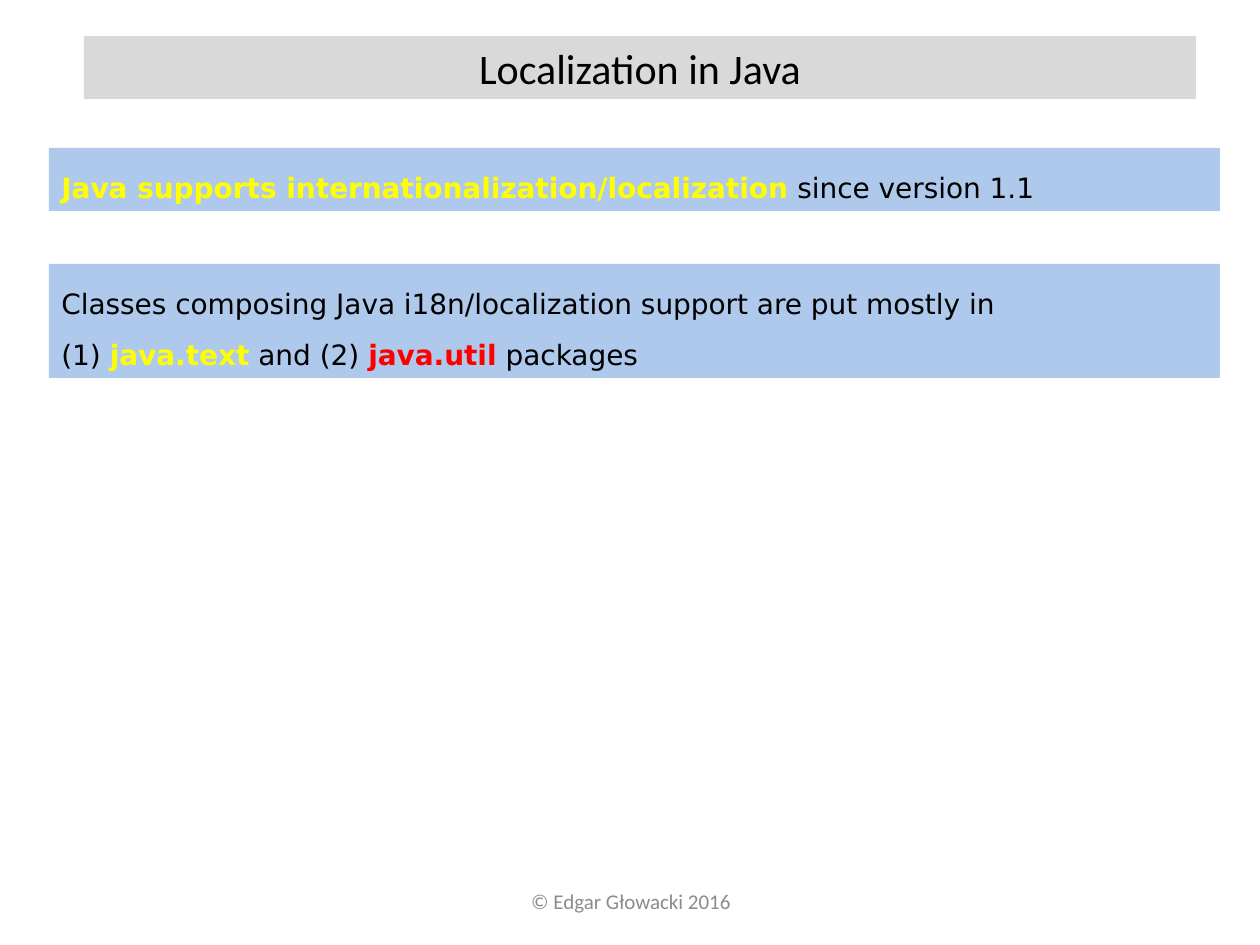
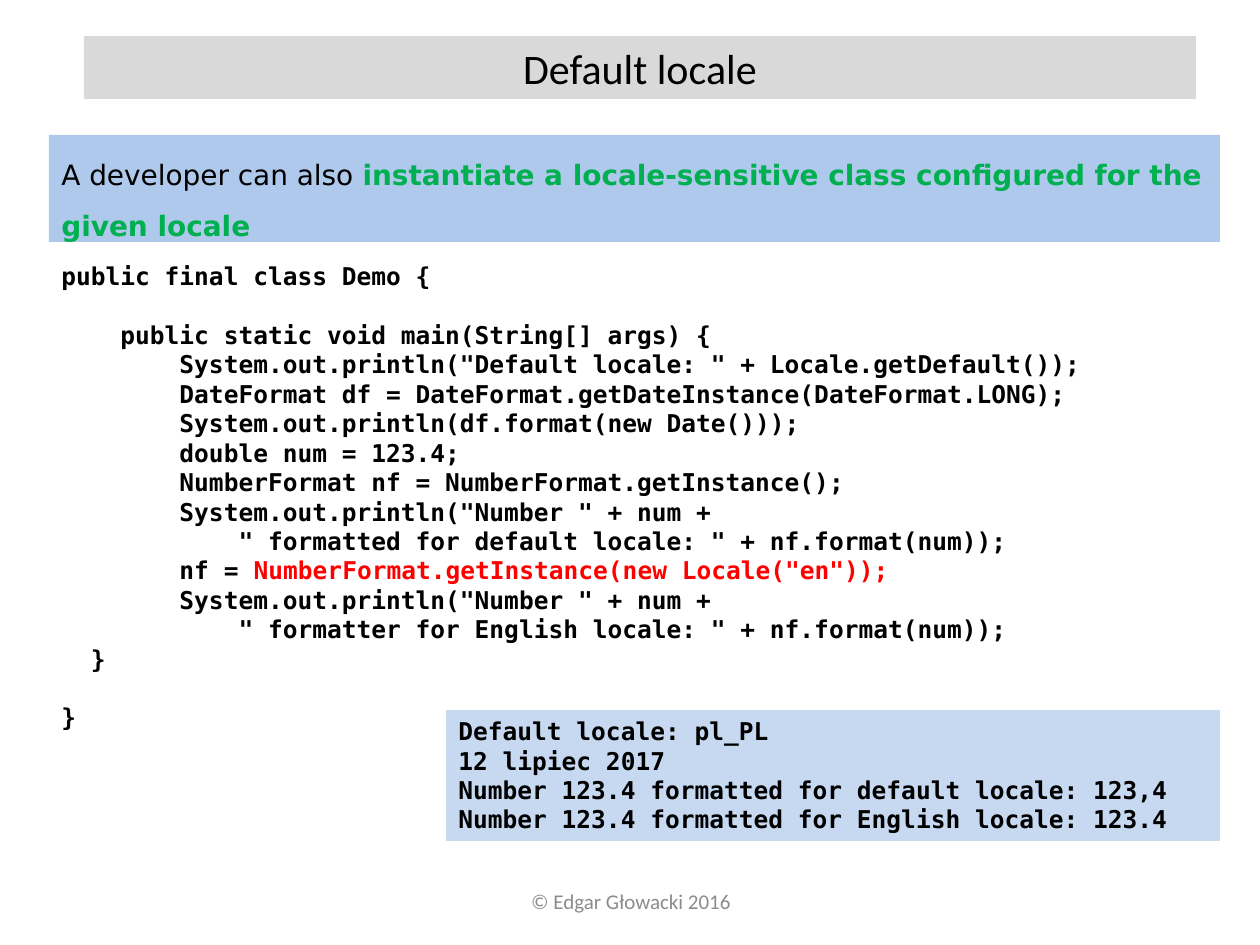
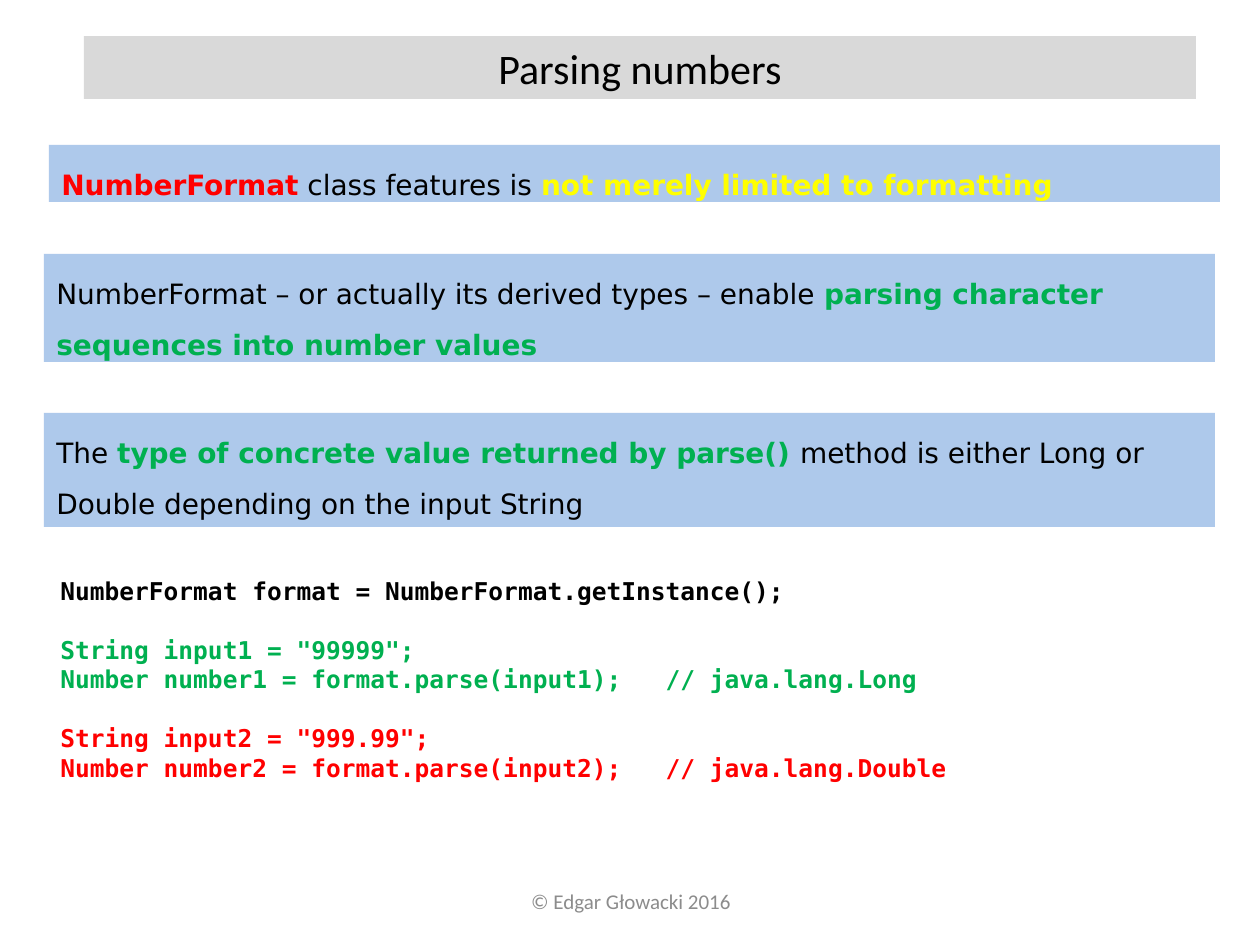
from dataclasses import dataclass

from lxml.etree import SubElement as Sub
from pptx import Presentation as Deck
from pptx.dml.color import RGBColor as Rgb
from pptx.enum.shapes import MSO_SHAPE as Form
from pptx.enum.text import MSO_ANCHOR as Anchor
from pptx.enum.text import MSO_AUTO_SIZE as Fit
from pptx.enum.text import PP_ALIGN as Align
from pptx.oxml.ns import qn
from pptx.util import Emu, Pt

SCALE = 914400 / 126


@dataclass(frozen=True)
class Theme:
    black: str = "000000"
    grey: str = "8C8C8C"
    band: str = "D9D9D9"
    blue: str = "8EB4E3"
    pale: str = "C6D9F1"
    yellow: str = "FFFF00"
    red: str = "FF0000"
    green: str = "00B050"
    head: str = "Calibri"
    body: str = "DejaVu Sans"
    mono: str = "DejaVu Sans Mono"
    title: int = 24
    note: int = 16
    code: int = 14
    foot: int = 12
    alpha: int = 71
    blank: float = 16.8


def px(*nums):
    return [Emu(round(num * SCALE)) for num in nums]


def put(frame, lines, font, size, ink="000000", bold=False,
        align=Align.LEFT, space=1.0, gap=0, anchor=Anchor.TOP):
    frame.word_wrap = True
    frame.auto_size = Fit.NONE
    frame.vertical_anchor = anchor
    frame.margin_left = frame.margin_right = px(12.6)[0]
    frame.margin_top = frame.margin_bottom = px(6.3)[0]
    para, skip = None, 0
    for line in lines:
        if not line:
            skip += gap
            continue
        para = frame.add_paragraph() if para else frame.paragraphs[0]
        para.alignment = align
        para.line_spacing = space
        para.space_before = Pt(skip)
        skip = 0
        for part in [line] if isinstance(line, str) else line:
            plain = isinstance(part, str)
            text, tone = (part, ink) if plain else part
            run = para.add_run()
            run.text = text
            run.font.name = font
            run.font.size = Pt(size)
            run.font.bold = bold or not plain
            run.font.color.rgb = Rgb.from_string(tone)


class Pen:
    def __init__(self, deck, look):
        self.deck, self.look, self.slide = deck, look, None

    def page(self, title):
        look = self.look
        self.slide = self.deck.slides.add_slide(self.deck.slide_layouts[5])
        head = self.slide.shapes.title
        head.left, head.top, head.width, head.height = px(84, 36, 1112, 63)
        self.paint(head, look.band)
        put(head.text_frame, [title], look.head, look.title, align=Align.CENTER)
        foot = self.slide.shapes.add_textbox(*px(431, 876, 400, 50))
        put(foot.text_frame, ["© Edgar Głowacki 2016"], look.head, look.foot,
            ink=look.grey, align=Align.CENTER, anchor=Anchor.MIDDLE)

    def paint(self, shape, color, alpha=None):
        shape.fill.solid()
        shape.fill.fore_color.rgb = Rgb.from_string(color)
        if alpha:
            tint = shape.element.spPr.find(".//" + qn("a:srgbClr"))
            Sub(tint, qn("a:alpha")).set("val", str(alpha * 1000))

    def box(self, area, color, alpha=None):
        shape = self.slide.shapes.add_shape(Form.RECTANGLE, *px(*area))
        shape.shadow.inherit = False
        shape.line.fill.background()
        self.paint(shape, color, alpha)
        return shape.text_frame

    def note(self, left, top, high, *lines):
        look = self.look
        frame = self.box((left, top, 1171, high), look.blue, look.alpha)
        put(frame, lines, look.body, look.note, space=1.5)

    def code(self, area, lines, fill=None):
        look = self.look
        if fill:
            frame = self.box(area, fill)
        else:
            frame = self.slide.shapes.add_textbox(*px(*area)).text_frame
        put(frame, lines, look.mono, look.code, bold=True, gap=look.blank)


def intro(pen):
    look = pen.look
    pen.page("Localization in Java")
    pen.note(49, 148, 63, [
        ("Java supports internationalization/localization", look.yellow),
        " since version 1.1"])
    pen.note(
        49, 264, 114,
        "Classes composing Java i18n/localization support are put mostly in",
        ["(1) ", ("java.text", look.yellow), " and (2) ",
         ("java.util", look.red), " packages"])


def locale(pen):
    look = pen.look
    pen.page("Default locale")
    pen.note(49, 135, 107, [
        "A developer can also ",
        ("instantiate a locale-sensitive class configured for the given locale",
         look.green)])
    pen.code((49, 255, 1167, 488), [
        'public final class Demo {',
        '',
        '    public static void main(String[] args) {',
        '        System.out.println("Default locale: " + Locale.getDefault());',
        '        DateFormat df = DateFormat.getDateInstance(DateFormat.LONG);',
        '        System.out.println(df.format(new Date()));',
        '        double num = 123.4;',
        '        NumberFormat nf = NumberFormat.getInstance();',
        '        System.out.println("Number " + num +',
        '            " formatted for default locale: " + nf.format(num));',
        ['        nf = ',
         ('NumberFormat.getInstance(new Locale("en"));', look.red)],
        '        System.out.println("Number " + num +',
        '            " formatter for English locale: " + nf.format(num));',
        '  }',
        '',
        '}'])
    pen.code((446, 710, 774, 131), [
        "Default locale: pl_PL",
        "12 lipiec 2017",
        "Number 123.4 formatted for default locale: 123,4",
        "Number 123.4 formatted for English locale: 123.4"], look.pale)


def numbers(pen):
    look = pen.look
    pen.page("Parsing numbers")
    pen.code((48, 570, 1167, 220), [
        'NumberFormat format = NumberFormat.getInstance();',
        '',
        [('String input1 = "99999";', look.green)],
        [('Number number1 = format.parse(input1);   // java.lang.Long',
          look.green)],
        '',
        [('String input2 = "999.99";', look.red)],
        [('Number number2 = format.parse(input2);   // java.lang.Double',
          look.red)]])
    pen.note(49, 145, 57, [
        ("NumberFormat", look.red), " class features is ",
        ("not merely limited to formatting", look.yellow)])
    pen.note(44, 254, 108, [
        "NumberFormat – or actually its derived types – enable ",
        ("parsing character sequences into number values", look.green)])
    pen.note(44, 413, 114, [
        "The ",
        ("type of concrete value returned by parse() ", look.green),
        "method is either Long or Double depending on the input String"])


def main():
    deck = Deck()
    deck.slide_width, deck.slide_height = px(1260, 945)
    pen = Pen(deck, Theme())
    for draw in (intro, locale, numbers):
        draw(pen)
    deck.save("out.pptx")


if __name__ == "__main__":
    main()
